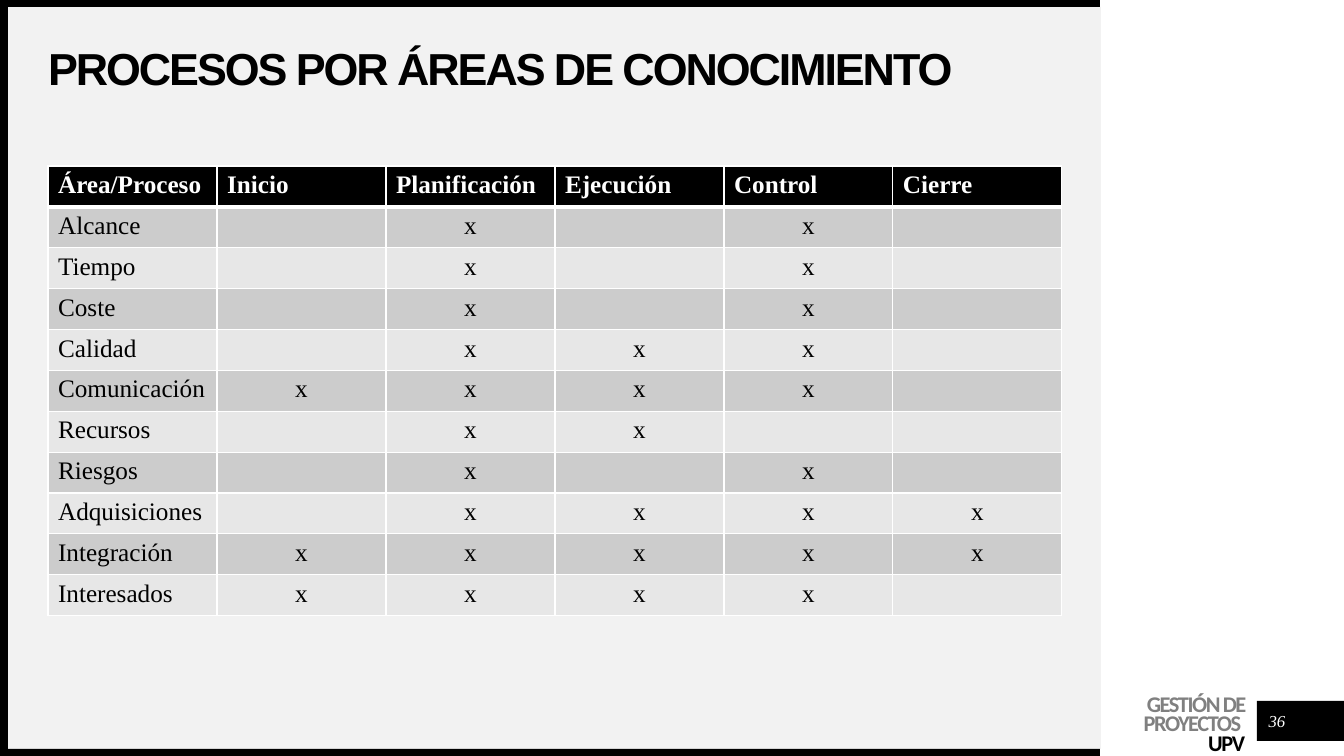
from lxml import etree
from pptx import Presentation
from pptx import util as u
from pptx.dml.color import RGBColor
from pptx.enum import shapes, text
from pptx.oxml import ns

TITLE = "PROCESOS POR ÁREAS DE CONOCIMIENTO"
BRAND = [("GESTIÓN DE PROYECTOS ", "gray"), ("UPV", "black")]
PAGE = "36"
HEADS = ["Área/Proceso", "Inicio", "Planificación", "Ejecución", "Control", "Cierre"]
AREAS = [
    ("Alcance", "  x x "),
    ("Tiempo", "  x x "),
    ("Coste", "  x x "),
    ("Calidad", "  xxx "),
    ("Comunicación", " xxxx "),
    ("Recursos", "  xx  "),
    ("Riesgos", "  x x "),
    ("Adquisiciones", "  xxxx"),
    ("Integración", " xxxxx"),
    ("Interesados", " xxxx "),
]
COLORS = {"black": "000000", "white": "FFFFFF", "panel": "F2F2F2",
          "gray": "808080", "dark": "CCCCCC", "light": "E7E7E7"}
RECTS = [
    ((8, 7, 1093, 742), "panel"),
    ((1257, 701, 87, 40), "black"),
    ((0, 749, 1100, 7), "black"),
    ((0, 0, 1100, 7), "black"),
    ((0, 0, 8, 756), "black"),
]
SERIF = "Times New Roman"
LEFT, RIGHT, MID = text.PP_ALIGN.LEFT, text.PP_ALIGN.RIGHT, text.PP_ALIGN.CENTER
SCALE = 914400 / 100.8


def px(n):
    return u.Emu(round(n * SCALE))


def box(vals):
    return [px(v) for v in vals]


def paint(fill, name):
    fill.solid()
    fill.fore_color.rgb = RGBColor.from_string(COLORS[name])


def write(para, words, size=18, font=SERIF, color="black", bold=False,
          italic=False, align=LEFT, space=None, track=0):
    para.alignment = align
    if space:
        para.line_spacing = space
    run = para.add_run()
    run.text = words
    face = run.font
    face.size, face.name, face.bold, face.italic = u.Pt(size), font, bold, italic
    face.color.rgb = RGBColor.from_string(COLORS[color])
    if track:
        face._element.set("spc", str(round(track * 100)))


def frame(shape, top=0):
    body = shape.text_frame
    body.word_wrap = True
    body.auto_size = text.MSO_AUTO_SIZE.NONE
    body.margin_left = body.margin_right = body.margin_bottom = 0
    body.margin_top = px(top)
    return body


def edge(cell, row):
    props = cell._tc.get_or_add_tcPr()
    wide = {("lnB", 0), ("lnT", 1)}
    for spot, side in enumerate(("lnL", "lnR", "lnT", "lnB")):
        width = 3 if (side, row) in wide else 1
        line = etree.Element(ns.qn("a:" + side), w=str(u.Pt(width)))
        fill = etree.SubElement(line, ns.qn("a:solidFill"))
        etree.SubElement(fill, ns.qn("a:srgbClr"), val=COLORS["white"])
        props.insert(spot, line)


def main():
    deck = Presentation()
    deck.slide_width, deck.slide_height = px(1344), px(756)
    slide = deck.slides.add_slide(deck.slide_layouts[5])
    items = slide.shapes

    for area, color in RECTS:
        bar = items.add_shape(shapes.MSO_SHAPE.RECTANGLE, *box(area))
        bar.shadow.inherit = False
        paint(bar.fill, color)
        bar.line.fill.background()

    brand = frame(items.add_textbox(*box((1061, 693, 184, 64))), top=4)
    for i, (words, color) in enumerate(BRAND):
        para = brand.add_paragraph() if i else brand.paragraphs[0]
        write(para, words, size=16, font="Calibri", color=color, bold=True,
              align=RIGHT, space=u.Pt(14), track=-1)

    title = items.title
    title.left, title.top, title.width, title.height = box((48, 47, 1014, 47))
    items._spTree.append(title._element)
    body = frame(title)
    body.vertical_anchor = text.MSO_ANCHOR.MIDDLE
    write(body.paragraphs[0], TITLE, size=32, font="Arial", bold=True,
          space=0.9, track=-1.5)

    page = frame(items.add_textbox(*box((1262, 706, 30, 30))))
    page.vertical_anchor = text.MSO_ANCHOR.MIDDLE
    write(page.paragraphs[0], PAGE, size=12, color="white", italic=True, align=MID)

    rows = [HEADS] + [[name, *marks[1:]] for name, marks in AREAS]
    grid = items.add_table(len(rows), len(HEADS), *box((48, 166, 1014, 450))).table
    for col in grid.columns:
        col.width = px(1014 / len(HEADS))
    for r, row in enumerate(rows):
        grid.rows[r].height = px(450 / len(rows))
        shade = "black" if r == 0 else "dark" if r % 2 else "light"
        for c, words in enumerate(row):
            cell = grid.cell(r, c)
            paint(cell.fill, shade)
            edge(cell, r)
            if words.strip():
                write(cell.text_frame.paragraphs[0], words, bold=r == 0,
                      color="black" if r else "white",
                      align=MID if r and c else LEFT)

    deck.save("out.pptx")


if __name__ == "__main__":
    main()
